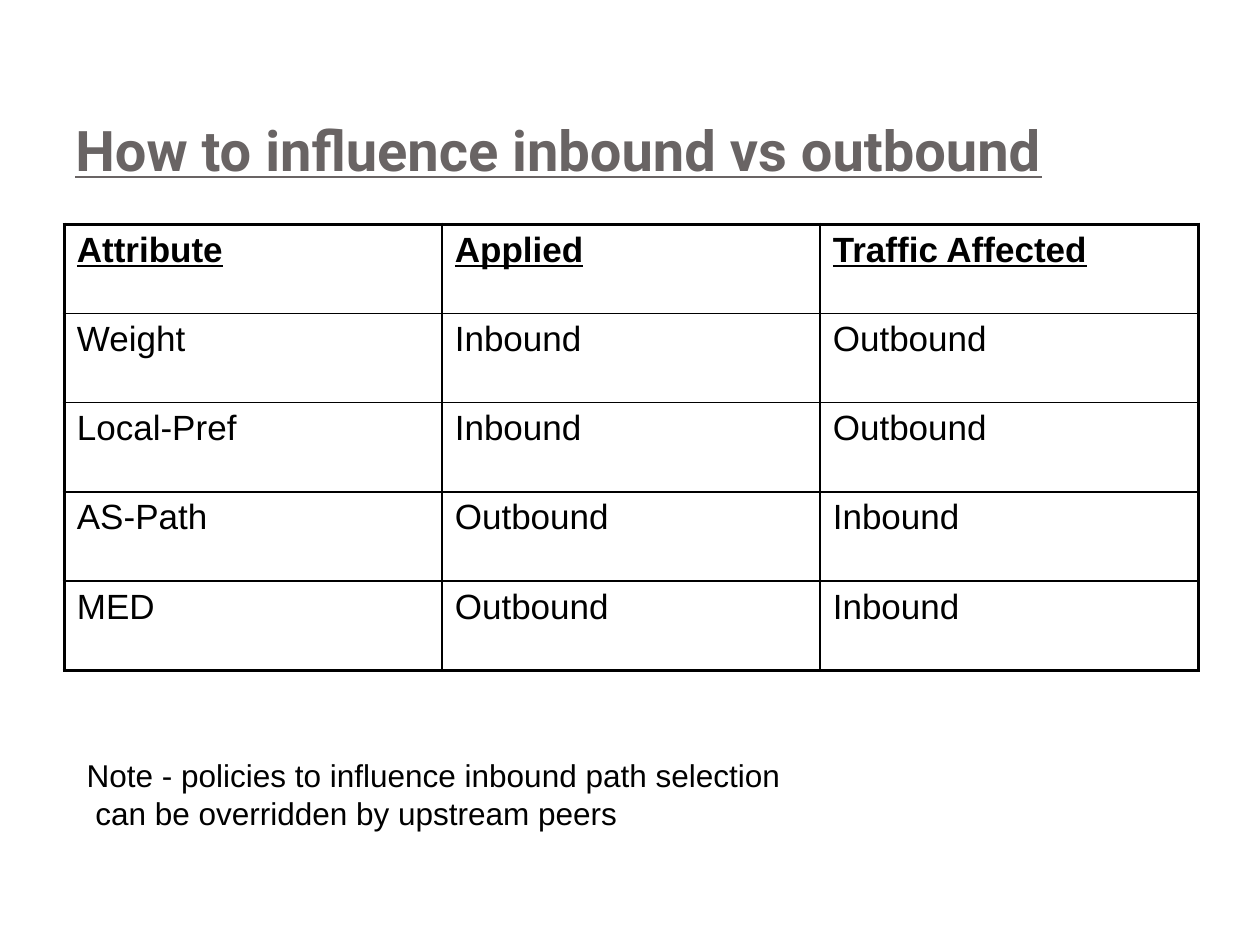
"""Build a slide on which BGP attributes influence inbound and outbound traffic."""
from lxml import etree
from pptx import Presentation
from pptx.dml.color import RGBColor
from pptx.enum.text import MSO_ANCHOR
from pptx.oxml.ns import qn
from pptx.util import Inches, Pt

BOTTOM = MSO_ANCHOR.BOTTOM
MIDDLE = MSO_ANCHOR.MIDDLE
COLORS = {"title": "696464", "text": "000000", "border": "000000"}
ROWS = [
    ("Attribute", "Applied", "Traffic Affected"),
    ("Weight", "Inbound", "Outbound"),
    ("Local-Pref", "Inbound", "Outbound"),
    ("AS-Path", "Outbound", "Inbound"),
    ("MED", "Outbound", "Inbound"),
]
OUTER, INNER = Pt(2.25), Pt(1)


def write_text(frame, text, size, font="Arial", color="text", heading=False):
    frame.text = text
    for paragraph in frame.paragraphs:
        for span in paragraph.runs:
            span.font.name = font
            span.font.size = Pt(size)
            span.font.bold = heading
            span.font.underline = heading
            span.font.color.rgb = RGBColor.from_string(COLORS[color])


def add_border(cell, side, width):
    properties = cell._tc.get_or_add_tcPr()
    line = etree.SubElement(properties, qn(f"a:ln{side}"), w=str(width))
    fill = etree.SubElement(line, qn("a:solidFill"))
    etree.SubElement(fill, qn("a:srgbClr"), val=COLORS["border"])


deck = Presentation()
deck.slide_width, deck.slide_height = Inches(10), Inches(7.5)
page = deck.slides.add_slide(deck.slide_layouts[6])

title = page.shapes.add_textbox(Inches(0.5), Inches(0.3), Inches(9), Inches(1.25))
title.text_frame.word_wrap = True
title.text_frame.vertical_anchor = BOTTOM
title.text_frame.margin_bottom = Inches(0.1)
write_text(title.text_frame, "How to influence inbound vs outbound", 32,
           "Roboto", "title", heading=True)

last_row, last_column = len(ROWS) - 1, len(ROWS[0]) - 1
table = page.shapes.add_table(len(ROWS), len(ROWS[0]), Inches(0.51), Inches(1.78),
                              Inches(9), Inches(3.54)).table
for r, row in enumerate(ROWS):
    for c, text in enumerate(row):
        cell = table.cell(r, c)
        write_text(cell.text_frame, text, 20, heading=r == 0)
        edges = {"L": c == 0, "R": c == last_column, "T": r == 0, "B": r == last_row}
        for side, is_outer in edges.items():
            add_border(cell, side, OUTER if is_outer else INNER)
        cell.fill.background()

note = page.shapes.add_textbox(Inches(0.59), Inches(5.95), Inches(5.7), Inches(0.7))
note.text_frame.word_wrap = False
note.text_frame.vertical_anchor = MIDDLE
write_text(note.text_frame, "Note - policies to influence inbound path selection\n"
           " can be overridden by upstream peers", 18)

deck.save("out.pptx")
